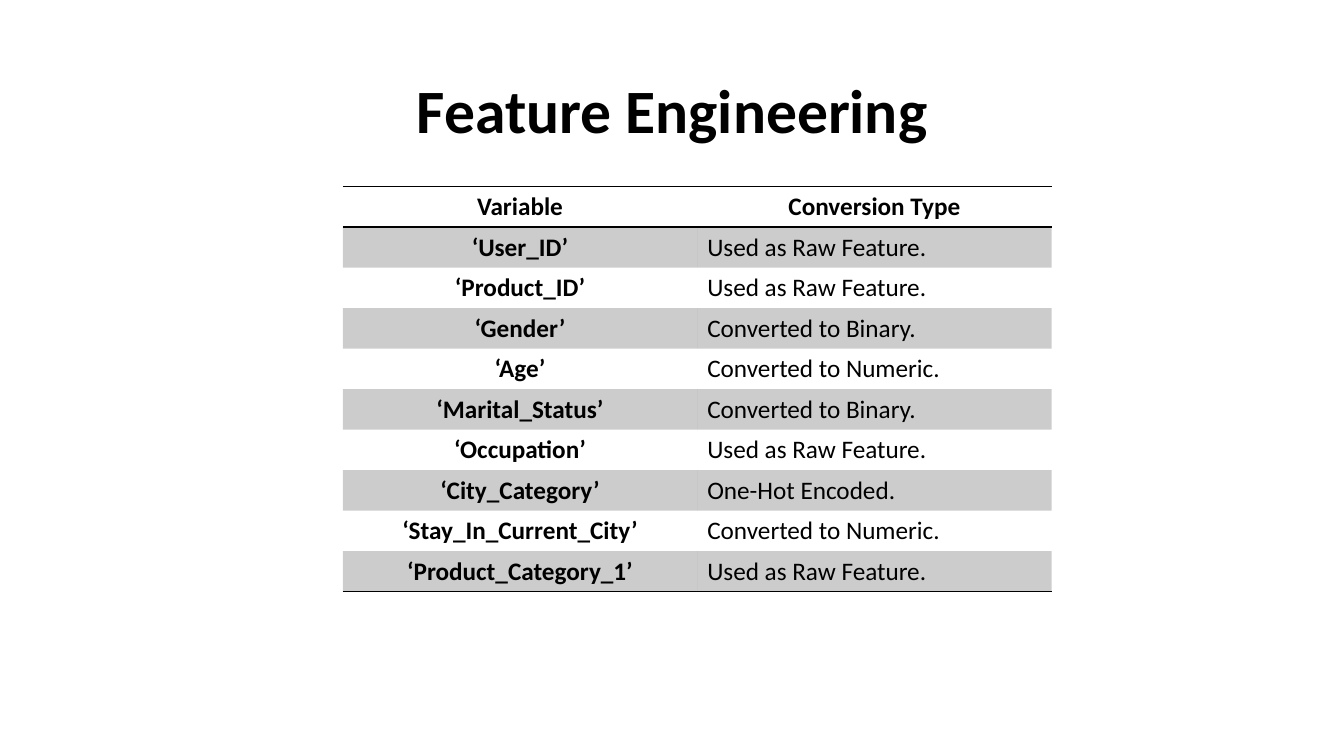
"""Build the Feature Engineering slide with its table of variable conversions."""
from lxml.etree import SubElement
from pptx import Presentation
from pptx.dml.color import RGBColor
from pptx.enum.text import MSO_ANCHOR, PP_ALIGN
from pptx.oxml import parse_xml
from pptx.oxml.ns import nsdecls, qn
from pptx.util import Inches, Pt

BLACK = RGBColor(0, 0, 0)
PLAIN = "{2D5ABB26-0587-4C30-8999-92F81FD0307C}"
RAW = "Used as Raw Feature."
BINARY = "Converted to Binary."
NUMBER = "Converted to Numeric."
ROWS = [
    ("Variable", "Conversion Type"),
    ("‘User_ID’", RAW),
    ("‘Product_ID’", RAW),
    ("‘Gender’", BINARY),
    ("‘Age’", NUMBER),
    ("‘Marital_Status’", BINARY),
    ("‘Occupation’", RAW),
    ("‘City_Category’", "One-Hot Encoded."),
    ("‘Stay_In_Current_City’", NUMBER),
    ("‘Product_Category_1’", RAW),
]
LAST = len(ROWS) - 1


def write(frame, text, size, bold, align):
    par = frame.paragraphs[0]
    par.alignment = align
    run = par.add_run()
    run.text = text
    run.font.color.rgb = BLACK
    look = {"name": "Calibri", "size": Pt(size), "bold": bold}
    for key, value in look.items():
        setattr(run.font, key, value)


def rule(cell, side):
    cell._tc.get_or_add_tcPr().append(parse_xml(
        f'<a:{side} {nsdecls("a")} w="12700"><a:solidFill>'
        f'<a:srgbClr val="{BLACK}"/></a:solidFill></a:{side}>'))


deck = Presentation()
deck.slide_width, deck.slide_height = Inches(13.33), Inches(7.5)
slide = deck.slides.add_slide(deck.slide_layouts[6])

title = slide.shapes.add_textbox(
    Inches(0.92), Inches(0.4), Inches(11.5), Inches(1.45)).text_frame
for key, value in {"word_wrap": True, "vertical_anchor": MSO_ANCHOR.MIDDLE}.items():
    setattr(title, key, value)
write(title, "Feature Engineering", 44, True, PP_ALIGN.CENTER)
title.paragraphs[0].line_spacing = 0.9

grid = slide.shapes.add_table(
    len(ROWS), 2, Inches(3.4), Inches(1.85), Inches(7.03), Inches(4.02)).table
for key in ("first_row", "horz_banding"):
    setattr(grid, key, False)
grid._tbl.tblPr.find(qn("a:tableStyleId")).text = PLAIN

for row, pair in enumerate(ROWS):
    for col, text in enumerate(pair):
        cell = grid.cell(row, col)
        head = row == 0 or col == 0
        write(cell.text_frame, text, 18, head,
              PP_ALIGN.CENTER if head else PP_ALIGN.LEFT)
        if row == 0:
            rule(cell, "lnT")
        if row in (0, LAST):
            rule(cell, "lnB")
        if row % 2:
            cell.fill.solid()
            cell.fill.fore_color.rgb = BLACK
            tint = cell._tc.tcPr.find(qn("a:solidFill")).find(qn("a:srgbClr"))
            SubElement(tint, qn("a:alpha")).set("val", "20000")
        else:
            cell.fill.background()

deck.save("out.pptx")
